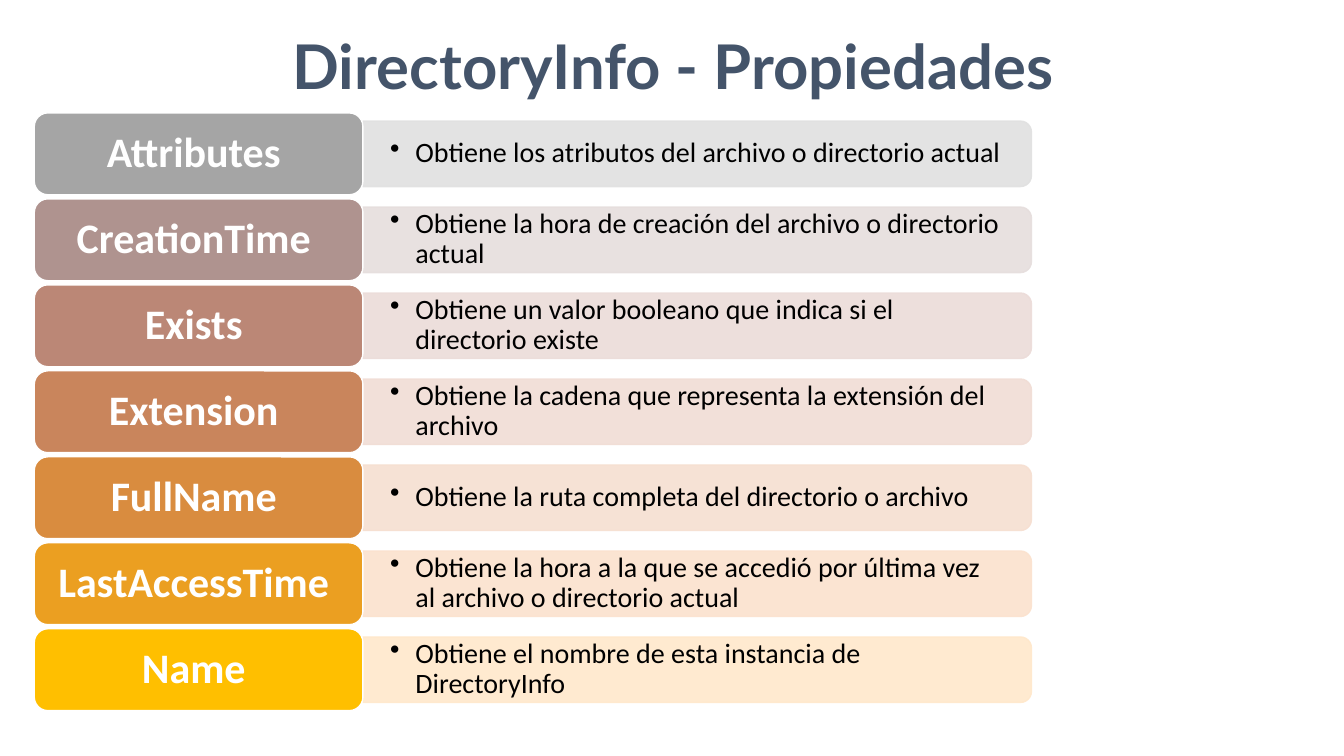
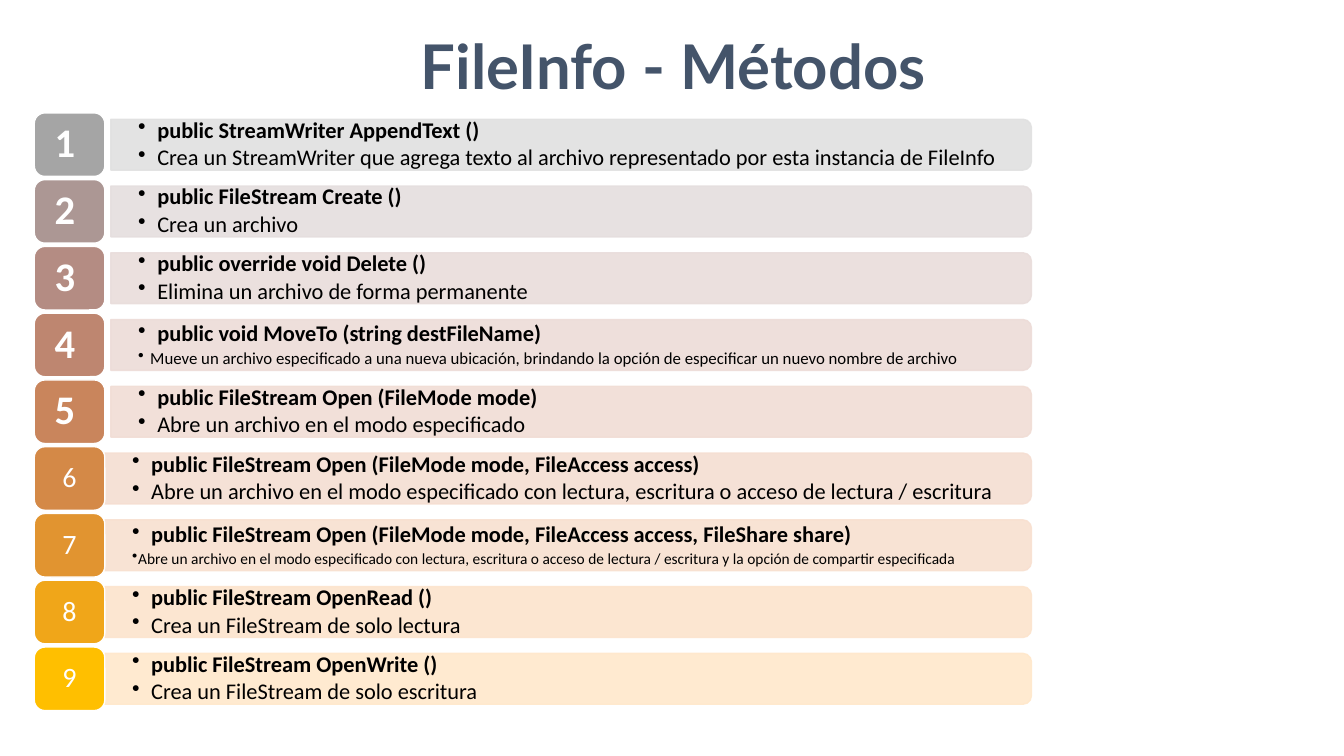
from colorsys import hls_to_rgb

from lxml import etree
from pptx import Presentation
from pptx.dml.color import RGBColor
from pptx.enum.shapes import MSO_SHAPE
from pptx.enum.text import MSO_ANCHOR, MSO_AUTO_SIZE, PP_ALIGN
from pptx.oxml.ns import qn
from pptx.util import Inches, Pt

ROUND = MSO_SHAPE.ROUNDED_RECTANGLE
ROUND_TOP = MSO_SHAPE.ROUND_2_SAME_RECTANGLE
TOP, MIDDLE = MSO_ANCHOR.TOP, MSO_ANCHOR.MIDDLE
CENTER, LEFT = PP_ALIGN.CENTER, PP_ALIGN.LEFT
NO_FIT = MSO_AUTO_SIZE.NONE

WIDTH, HEIGHT = 13.33, 7.5
COLORS = {"title": "44546A", "text": "000000", "white": "FFFFFF"}
TAB_RAMP = ((0, 0.647, 0), (45, 0.5, 1))
BAND_RAMP = ((0, 0.882, 0), (33, 0.898, 1))
TITLE_FONT, BODY_FONT = "Lato", "Calibri"
TITLE_BOX = (0.13, 0.26, 13.1, 0.79)
LIST_BOX = (0.34, 1.12, 9.89, 5.93)
ROW_GAP, BAND_SHARE, TEXT_SHARE = 0.05, 0.8, 0.9
BULLET_INDENT = {20: 0.25, 16: 0.19, 12: 0.12, 11: 0.06}

PROPERTIES = [
    ("Attributes ", "Obtiene los atributos del archivo o directorio actual"),
    ("CreationTime ", "Obtiene la hora de creación del archivo o directorio actual"),
    ("Exists ", "Obtiene un valor booleano que indica si el directorio existe"),
    ("Extension ", "Obtiene la cadena que representa la extensión del archivo"),
    ("FullName ", "Obtiene la ruta completa del directorio o archivo"),
    ("LastAccessTime ", "Obtiene la hora a la que se accedió por última vez al archivo o directorio actual"),
    ("Name ", "Obtiene el nombre de esta instancia de DirectoryInfo"),
]
METHODS = [
    ("public StreamWriter AppendText ()",
     "Crea un StreamWriter que agrega texto al archivo representado por esta instancia de FileInfo", 16),
    ("public FileStream Create ()", "Crea un archivo", 16),
    ("public override void Delete ()", "Elimina un archivo de forma permanente", 16),
    ("public void MoveTo (string destFileName)",
     "Mueve un archivo especificado a una nueva ubicación, brindando la opción de especificar "
     "un nuevo nombre de archivo", 12),
    ("public FileStream Open (FileMode mode)", "Abre un archivo en el modo especificado", 16),
    ("public FileStream Open (FileMode mode, FileAccess access)",
     "Abre un archivo en el modo especificado con lectura, escritura o acceso de lectura / escritura", 16),
    ("public FileStream Open (FileMode mode, FileAccess access, FileShare share)",
     "Abre un archivo en el modo especificado con lectura, escritura o acceso de lectura / escritura "
     "y la opción de compartir especificada", 11),
    ("public FileStream OpenRead ()", "Crea un FileStream de solo lectura", 16),
    ("public FileStream OpenWrite ()", "Crea un FileStream de solo escritura", 16),
]


def ramp_color(ramp, t):
    hue, light, sat = (a + (b - a) * t for a, b in zip(*ramp))
    rgb = hls_to_rgb(hue / 360, light, sat)
    return "".join(f"{round(c * 255):02X}" for c in rgb)


def set_frame(tf, anchor, dx, dy):
    tf.word_wrap = True
    tf.auto_size = NO_FIT
    tf.vertical_anchor = anchor
    tf.margin_left = tf.margin_right = Inches(dx)
    tf.margin_top = tf.margin_bottom = Inches(dy)


def set_paragraph(p, text, font, size, color, bold, align, spacing):
    p.text = text
    p.alignment = align
    p.line_spacing = spacing
    p.font.name = font
    p.font.size = Pt(size)
    p.font.bold = bold
    p.font.color.rgb = RGBColor.from_string(color)


def add_bullet(p, size):
    pPr = p._p.get_or_add_pPr()
    indent = Inches(BULLET_INDENT[size])
    pPr.set("marL", str(indent))
    pPr.set("indent", str(-indent))
    after = etree.Element(qn("a:spcAft"))
    etree.SubElement(after, qn("a:spcPct"), val="15000")
    char = etree.Element(qn("a:buChar"), char="•")
    pPr.find(qn("a:lnSpc")).addnext(after)
    after.addnext(char)


def add_block(s, kind, box, fill, line):
    sp = s.shapes.add_shape(kind, *map(Inches, box))
    sp.shadow.inherit = False
    sp.fill.solid()
    sp.fill.fore_color.rgb = RGBColor.from_string(fill)
    sp.line.color.rgb = RGBColor.from_string(line)
    sp.line.width = Pt(1)
    return sp


def add_band(s, x, y, w, h, color):
    box = (x + (w - h) / 2, y + (h - w) / 2, h, w)
    sp = add_block(s, ROUND_TOP, box, color, color)
    sp.rotation = 90
    for clr in sp._element.spPr.iter(qn("a:srgbClr")):
        etree.SubElement(clr, qn("a:alpha"), val="90000")


def add_band_text(s, x, y, w, h, lines):
    box = (x, y + h * (1 - TEXT_SHARE) / 2, w - 0.02, h * TEXT_SHARE)
    tf = s.shapes.add_textbox(*map(Inches, box)).text_frame
    set_frame(tf, MIDDLE, 0.27, 0.14)
    for i, (text, size, bold) in enumerate(lines):
        p = tf.add_paragraph() if i else tf.paragraphs[0]
        set_paragraph(p, text, BODY_FONT, size, COLORS["text"], bold, LEFT, 0.9)
        add_bullet(p, size)


def add_tab(s, box, color, label, size, bold):
    sp = add_block(s, ROUND, box, color, COLORS["white"])
    set_frame(sp.text_frame, MIDDLE, 0.15, 0.08)
    set_paragraph(sp.text_frame.paragraphs[0], label, BODY_FONT, size,
                  COLORS["white"], bold, CENTER, 0.9)


def add_list(s, box, tab_w, rows):
    x, y, w, h = box
    n = len(rows)
    tab_h = h / (n + (n - 1) * ROW_GAP)
    for i, (label, size, bold, gap, lines) in enumerate(rows):
        t = i / (n - 1)
        top = y + i * tab_h * (1 + ROW_GAP)
        left = x + tab_w + gap
        band = (left, top + tab_h * (1 - BAND_SHARE) / 2, x + w - left, tab_h * BAND_SHARE)
        add_band(s, *band, ramp_color(BAND_RAMP, t))
        add_band_text(s, *band, lines)
        add_tab(s, (x, top, tab_w, tab_h), ramp_color(TAB_RAMP, t), label, size, bold)


def add_list_slide(prs, title, tab_w, rows):
    s = prs.slides.add_slide(prs.slide_layouts[5])
    sp = s.shapes.title
    sp.left, sp.top, sp.width, sp.height = map(Inches, TITLE_BOX)
    set_frame(sp.text_frame, TOP, 0.05, 0.02)
    set_paragraph(sp.text_frame.paragraphs[0], title, TITLE_FONT, 44,
                  COLORS["title"], True, CENTER, 1.0)
    add_list(s, LIST_BOX, tab_w, rows)


def property_rows():
    return [(name, 30, True, 0, [(text, 20, False)]) for name, text in PROPERTIES]


def method_rows():
    rows = []
    for i, (signature, text, size) in enumerate(METHODS, 1):
        style = (f"{i} ", 29, True, 0.06) if i <= 5 else (str(i), 20, False, 0)
        rows.append((*style, [(signature, 16, True), (text, size, False)]))
    return rows


def main():
    prs = Presentation()
    prs.slide_width, prs.slide_height = Inches(WIDTH), Inches(HEIGHT)
    add_list_slide(prs, "DirectoryInfo - Propiedades", 3.26, property_rows())
    add_list_slide(prs, "FileInfo - Métodos", 0.7, method_rows())
    prs.save("out.pptx")


if __name__ == "__main__":
    main()
